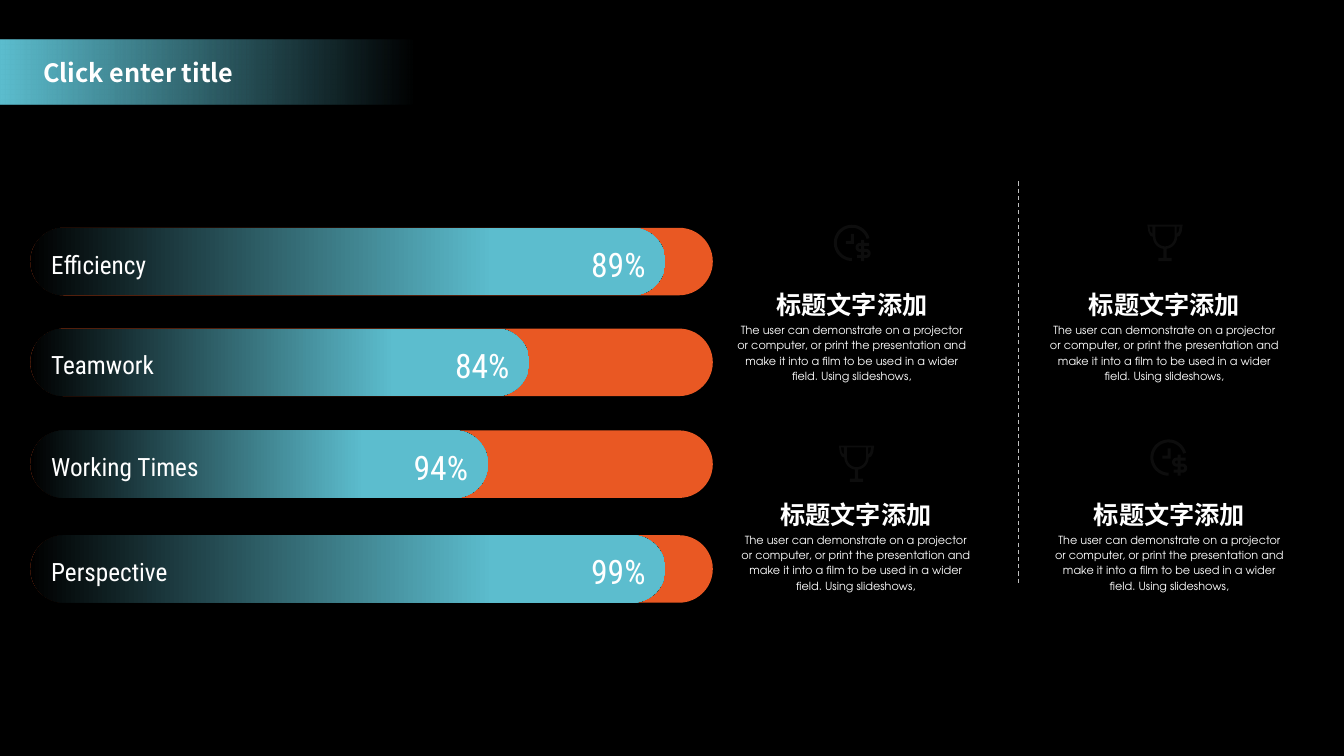
from math import cos, radians, sin

from lxml import etree
from pptx import Presentation
from pptx.dml.color import RGBColor
from pptx.enum import dml, shapes, text
from pptx.oxml import ns
from pptx.util import Inches, Pt

BLACK = RGBColor(0x00, 0x00, 0x00)
WHITE = RGBColor(0xFF, 0xFF, 0xFF)
TEAL = RGBColor(0x5C, 0xBD, 0xCE)
ORANGE = RGBColor(0xE9, 0x58, 0x23)
ICON = RGBColor(0x0D, 0x0D, 0x0D)
GREY = RGBColor(0xBF, 0xBF, 0xBF)
NOTO, ROBOTO, ADVENTOR = "Noto Sans CJK SC", "Roboto Condensed", "TeX Gyre Adventor"

TITLE = "Click enter title"
# label, label width, value, filled length, top
BARS = [
    ("Efficiency", 1.22, "89%", 6.3, 2.26),
    ("Teamwork", 1.27, "84%", 4.95, 3.26),
    ("Working Times", 1.75, "94%", 4.54, 4.27),
    ("Perspective", 1.44, "99%", 6.3, 5.31),
]
BAR_LEFT, BAR_LENGTH, BAR_HEIGHT = 0.3, 6.77, 0.67
HEADING = "标题文字添加"
BODY = ("The user can demonstrate on a projector or computer, or print the "
        "presentation and make it into a film to be used in a wider field. "
        "Using slideshows,")
# heading left, heading top, icon, icon left, icon top
CARDS = [
    (7.08, 2.76, "clock", 8.27, 2.23),
    (10.18, 2.76, "trophy", 11.38, 2.23),
    (7.12, 4.84, "trophy", 8.32, 4.42),
    (10.23, 4.84, "clock", 11.41, 4.36),
]


def arc(cx, cy, radius, start, end, steps=16):
    """Points along a circle; angles in degrees, clockwise from the right."""
    angles = [radians(start + (end - start) * i / steps) for i in range(steps + 1)]
    return [(cx + radius * cos(a), cy + radius * sin(a)) for a in angles]


# closed outlines in hundredths of an inch
ICONS = {
    "clock": [
        arc(18, 18, 18, -15, -270, 40) + arc(18, 18, 15, -270, -15, 40),
        [(17, 9), (20, 9), (20, 19), (12, 19), (12, 16), (17, 16)],
        [(27, 15), (30, 15), (30, 18), (35, 18), (35, 21), (30, 21), (30, 24)]
        + arc(32, 28.5, 4.5, -90, 90)
        + [(30, 33), (30, 36), (27, 36), (27, 33), (23, 33), (23, 30), (27, 30), (27, 27)]
        + arc(26, 22.5, 4.5, 90, 270) + [(27, 18)],
        [(30, 27)] + arc(32, 28.5, 1.5, -90, 90) + [(30, 30)],
        [(27, 24)] + arc(26, 22.5, 1.5, 90, 270) + [(27, 21)],
    ],
    "trophy": [
        [(0, 0), (35, 0), (34, 7), (32, 11)] + arc(17.5, 12, 12, 0, 82)
        + [(19, 33), (24, 33), (24, 36), (11, 36), (11, 33), (16, 33)]
        + arc(17.5, 12, 12, 98, 180) + [(3, 11), (1, 7)],
        [(8, 2), (27, 2)] + arc(17.5, 12, 9.5, 0, 180),
        [(2, 2), (5, 2), (5, 9), (3, 7)],
        [(29, 2), (32, 2), (31, 7), (29, 9)],
    ],
}


def box(at):
    return [Inches(v) for v in at]


def add_text(sp, content, font, size, bold=False, align="LEFT", spacing=None,
             wrap=True, bottom=0.05, anchor="TOP"):
    tf = sp.text_frame
    frame = {
        "word_wrap": wrap,
        "vertical_anchor": text.MSO_ANCHOR[anchor],
        "margin_bottom": Inches(bottom),
    }
    for name, value in frame.items():
        setattr(tf, name, value)
    p = tf.paragraphs[0]
    p.alignment = text.PP_ALIGN[align]
    p.line_spacing = spacing
    r = p.add_run()
    r.text = content
    for name, value in {"name": font, "size": Pt(size), "bold": bold}.items():
        setattr(r.font, name, value)
    r.font.color.rgb = WHITE
    etree.SubElement(r._r.get_or_add_rPr(), ns.qn("a:ea"), typeface=NOTO)


def add_filled(s, kind, at, color):
    sp = s.shapes.add_shape(kind, *box(at))
    sp.shadow.inherit = False
    sp.line.fill.background()
    sp.fill.solid()
    sp.fill.fore_color.rgb = color
    return sp


def set_gradient(sp, first, last, end):
    """Blend from left to right, the last colour reached at the given end."""
    sp.fill.gradient()
    sp.fill.gradient_angle = 0
    stops = sp.fill.gradient_stops
    for stop, color, position in zip(stops, (first, last), (0, end)):
        stop.color.rgb = color
        stop.position = position


def add_icon(s, outlines, left, top):
    fb = None
    for outline in outlines:
        points = [(round(x * 10), round(y * 10)) for x, y in outline]
        if fb is None:
            fb = s.shapes.build_freeform(*points[0], scale=Inches(1) / 1000)
        else:
            fb.move_to(*points[0])
        fb.add_line_segments(points[1:], close=True)
    sp = fb.convert_to_shape(Inches(left), Inches(top))
    sp.shadow.inherit = False
    sp.fill.solid()
    sp.fill.fore_color.rgb = ICON
    sp.line.fill.background()


def add_title(s):
    band = add_filled(s, shapes.MSO_SHAPE.RECTANGLE, (0, 0.39, 5.19, 0.65), TEAL)
    set_gradient(band, TEAL, TEAL, 0.79)
    last = band._element.spPr.findall(".//" + ns.qn("a:srgbClr"))[-1]
    etree.SubElement(last, ns.qn("a:alpha"), val="0")
    add_text(s.shapes.add_textbox(*box((0.33, 0.52, 3.58, 0.4))), TITLE, NOTO, 18, bold=True)


def add_bar(s, label, label_width, value, length, top):
    for width in (BAR_LENGTH, length):
        sp = add_filled(s, shapes.MSO_SHAPE.ROUNDED_RECTANGLE,
                        (BAR_LEFT, top, width, BAR_HEIGHT), ORANGE)
        sp.adjustments[0] = 0.5
    set_gradient(sp, BLACK, TEAL, 0.73)
    add_text(sp, value, ROBOTO, 24, align="RIGHT", bottom=0, anchor="MIDDLE")
    tb = s.shapes.add_textbox(*box((BAR_LEFT + 0.11, top + 0.16, label_width, 0.35)))
    add_text(tb, label, ROBOTO, 18, wrap=False, bottom=0, anchor="MIDDLE")


def add_card(s, left, top, icon, icon_left, icon_top):
    heading = s.shapes.add_textbox(*box((left, top, 2.74, 0.44)))
    add_text(heading, HEADING, ADVENTOR, 18, bold=True, align="CENTER", spacing=1.2)
    body = s.shapes.add_textbox(*box((left + 0.13, top + 0.38, 2.48, 0.71)))
    add_text(body, BODY, ADVENTOR, 8, align="CENTER", spacing=1.14)
    add_icon(s, ICONS[icon], icon_left, icon_top)


def add_divider(s):
    line = s.shapes.add_connector(shapes.MSO_CONNECTOR.STRAIGHT, *box((10.1, 1.8, 10.1, 5.8)))
    line.line.color.rgb = GREY
    line.line.width = Pt(0.75)
    line.line.dash_style = dml.MSO_LINE.DASH
    etree.SubElement(line._element.spPr, ns.qn("a:effectLst"))


def main():
    prs = Presentation()
    prs.slide_width, prs.slide_height = Inches(13.33), Inches(7.5)
    s = prs.slides.add_slide(prs.slide_layouts[6])
    s.background.fill.solid()
    s.background.fill.fore_color.rgb = BLACK
    add_title(s)
    for bar in BARS:
        add_bar(s, *bar)
    for card in CARDS:
        add_card(s, *card)
    add_divider(s)
    prs.save("out.pptx")


if __name__ == "__main__":
    main()
